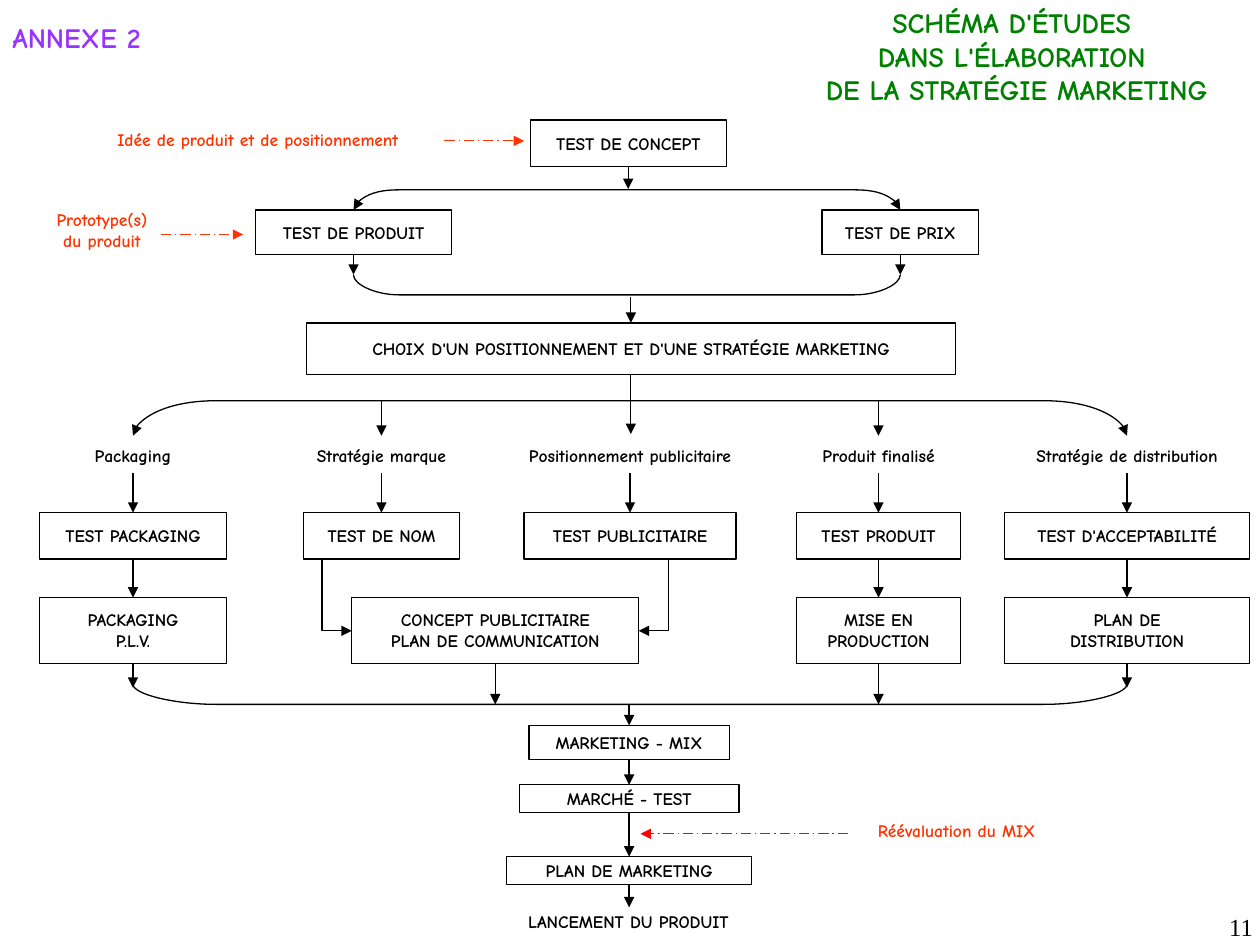
from dataclasses import dataclass
from typing import Any

from lxml import etree
from pptx import Presentation
from pptx.dml import color as dml
from pptx.enum import dml as line_styles, shapes, text
from pptx.oxml import ns
from pptx.util import Pt

BLACK, WHITE, ORANGE, RED = "000000", "FFFFFF", "FF3300", "FF0000"
GREEN, PURPLE = "008000", "9933FF"
FONT = "Comic Neue"
LEFT, CENTER, RIGHT = text.PP_ALIGN.LEFT, text.PP_ALIGN.CENTER, text.PP_ALIGN.RIGHT
TOP, MIDDLE = text.MSO_ANCHOR.TOP, text.MSO_ANCHOR.MIDDLE
TOP_SIDE, BOTTOM_SIDE = 0, 2


def rgb(value):
    """Turn a hex string into a colour."""
    return dml.RGBColor.from_string(value)


def style_line(shape, color=BLACK, ends=(), dashed=False):
    """Set a thin line with optional arrowheads and dashes."""
    shape.line.color.rgb = rgb(color)
    shape.line.width = Pt(0.75)
    if dashed:
        shape.line.dash_style = line_styles.MSO_LINE.LONG_DASH_DOT
    properties = shape.line._get_or_add_ln()
    for end in ends:
        etree.SubElement(properties, ns.qn(f"a:{end}"), type="triangle")


def write(shape, content, color=BLACK, size=10, align=CENTER, anchor=MIDDLE,
          font=FONT, bold=True, wrap=True):
    """Write paragraphs split at newlines, with line breaks at vertical tabs."""
    frame = shape.text_frame
    frame.word_wrap = wrap
    frame.vertical_anchor = anchor
    for index, line in enumerate(content.split("\n")):
        paragraph = frame.paragraphs[0] if index == 0 else frame.add_paragraph()
        paragraph.alignment = align
        for position, part in enumerate(line.split("\v")):
            if position:
                paragraph.add_line_break()
            run = paragraph.add_run()
            run.text = part
            run.font.name = font
            run.font.size = Pt(size)
            run.font.bold = bold
            run.font.color.rgb = rgb(color)


@dataclass
class Region:
    """Draw parts relative to the top left corner of a box."""

    slide: Any
    left: float
    top: float

    def point(self, x, y):
        """Place a relative point on the slide."""
        return Pt(self.left + x), Pt(self.top + y)

    def label(self, x, y, width, height, content, **style):
        """Add a plain text box."""
        shape = self.slide.shapes.add_textbox(*self.point(x, y), Pt(width), Pt(height))
        write(shape, content, **style)

    def box(self, center, y, width, height, content, outlined=True, **style):
        """Add a white rectangle centred on a horizontal position."""
        shape = self.slide.shapes.add_shape(
            shapes.MSO_SHAPE.RECTANGLE, *self.point(center - width / 2, y), Pt(width), Pt(height))
        shape.shadow.inherit = False
        shape.fill.solid()
        shape.fill.fore_color.rgb = rgb(WHITE)
        if outlined:
            style_line(shape)
        else:
            shape.line.fill.background()
        write(shape, content, **style)
        return shape

    def arrow(self, start, end, source=None, target=None, color=BLACK, dashed=False):
        """Add an arrow, joined to a source bottom or a target top when given."""
        connector = self.slide.shapes.add_connector(
            shapes.MSO_CONNECTOR.STRAIGHT, *self.point(*start), *self.point(*end))
        if source is not None:
            connector.begin_connect(source, BOTTOM_SIDE)
        if target is not None:
            connector.end_connect(target, TOP_SIDE)
        style_line(connector, color, ["tailEnd"], dashed)
        etree.SubElement(connector._element.spPr, ns.qn("a:effectLst"))

    def outline(self, points, ends=()):
        """Add an open unfilled path through the points."""
        start, *others = [self.point(*point) for point in points]
        builder = self.slide.shapes.build_freeform(*start)
        builder.add_line_segments(others, close=False)
        shape = builder.convert_to_shape()
        shape.shadow.inherit = False
        shape.fill.background()
        style_line(shape, ends=ends)
        return shape

    def bracket(self, left, right, tip, bar, bend, ends=()):
        """Add a horizontal bar whose two ends curve to the tips."""
        middle = (tip + bar) / 2
        shape = self.outline([
            (left, tip), (left, middle), (left + bend / 2, bar), (left + bend, bar),
            (right - bend, bar), (right - bend / 2, bar), (right, middle), (right, tip)], ends)
        segments = list(shape._element.iter(ns.qn("a:lnTo")))
        for group in (segments[:3], segments[4:]):
            curve = etree.Element(ns.qn("a:cubicBezTo"))
            group[0].addprevious(curve)
            for segment in group:
                curve.append(segment[0])
                segment.getparent().remove(segment)


def draw_header(region):
    """Draw the annex mark and the title."""
    region.label(0, 0, 153.5, 43, "ANNEXE 2", color=PURPLE, size=16, align=LEFT)
    region.label(445, 1.5, 272, 61,
                 "SCHÉMA D'ÉTUDES \vDANS L'ÉLABORATION \vDE LA STRATÉGIE MARKETING",
                 color=GREEN, size=16)


def draw_early_tests(region):
    """Draw the tests that lead to the strategy choice and return its box."""
    middle, product_x, price_x = 341, 184, 496.5
    concept = region.box(middle, 0.5, 112, 26.5, "TEST DE CONCEPT")
    product = region.box(product_x, 52, 112, 25.5, "TEST DE PRODUIT")
    price = region.box(price_x, 52, 89.5, 25.5, "TEST DE PRIX")
    choice = region.box(342.5, 116.5, 371, 29.5,
                        "CHOIX D'UN POSITIONNEMENT ET D'UNE STRATÉGIE MARKETING")
    region.arrow((middle, 27), (middle, 40), source=concept)
    region.bracket(product_x, price_x, 52, 40.5, 26, ["headEnd", "tailEnd"])
    region.bracket(product_x, price_x, 89, 100.5, 26)
    for center, box in ((product_x, product), (price_x, price)):
        region.arrow((center, 77.5), (center, 89), source=box)
    region.arrow((342.5, 102), (342.5, 116.5), target=choice)

    region.label(42, 2, 215, 19.5, "Idée de produit et de positionnement",
                 color=ORANGE, align=LEFT, anchor=TOP)
    region.arrow((236, 12.5), (281.5, 12.5), color=ORANGE, dashed=True)
    region.label(0, 48, 80.5, 31.5, "Prototype(s)\vdu produit", color=ORANGE, anchor=TOP)
    region.arrow((74, 66), (121, 66), color=ORANGE, dashed=True)
    return choice


def draw_mix_columns(region, choice):
    """Draw the five parallel studies and the line that gathers them."""
    columns = [
        ("Packaging", 58, "TEST PACKAGING", 106.5, "PACKAGING\nP.L.V."),
        ("Stratégie marque", 88.5, "TEST DE NOM", 89.5, None),
        ("Positionnement publicitaire", 130, "TEST PUBLICITAIRE", 121, None),
        ("Produit finalisé", 78.5, "TEST PRODUIT", 93.5, "MISE EN PRODUCTION"),
        ("Stratégie de distribution", 118, "TEST D'ACCEPTABILITÉ", 140, "PLAN DE\nDISTRIBUTION"),
    ]
    centers = [53 + 142 * index for index in range(len(columns))]
    first, last = centers[0], centers[-1]
    bar, tip, gather = 15, 35, 188.5
    region.bracket(first, last, tip, bar, 47.5, ["headEnd", "tailEnd"])
    region.arrow((337.5, 0), (337.5, tip - 1), source=choice)
    for center in (centers[1], centers[3]):
        region.arrow((center, bar), (center, tip))

    for center, (subject, subject_width, test, width, result) in zip(centers, columns):
        heading = region.box(center, 37, subject_width, 19.5, subject,
                             outlined=False, anchor=TOP, wrap=False)
        study = region.box(center, 79, width, 26.5, test)
        region.arrow((center, 56.5), (center, 79), heading, study)
        if result:
            output = region.box(center, 127.5, width, 37.5, result)
            region.arrow((center, 105.5), (center, 127.5), study, output)
            end = tip + 144 if center in (first, last) else gather
            region.arrow((center, 165), (center, end), source=output)

    middle, width = 260, 164
    plan = region.box(middle, 127.5, width, 37.5, "CONCEPT PUBLICITAIRE\nPLAN DE COMMUNICATION")
    region.arrow((middle, 165), (middle, gather), source=plan)
    for side in (-1, 1):
        edge = middle + side * width / 2
        elbow = edge + side * 17
        region.outline([(elbow, 105.5), (elbow, 146.5), (edge, 146.5)], ["tailEnd"])
    region.bracket(first, last, 177, gather, 47.5)


def draw_launch(region):
    """Draw the chain from the marketing mix to the launch."""
    center = 79.5
    mix = region.box(center, 12, 114.5, 19.5, "MARKETING - MIX", anchor=TOP)
    market = region.box(center, 46, 125.5, 16, "MARCHÉ - TEST")
    plan = region.box(center, 87, 140, 16, "PLAN DE MARKETING")
    region.label(0, 116, 158, 16, "LANCEMENT DU PRODUIT")
    region.arrow((center, 0), (center, 12), target=mix)
    region.arrow((center, 31.5), (center, 46), mix, market)
    region.arrow((center, 62), (center, 87), market, plan)
    region.arrow((center, 103), (center, 116), source=plan)
    region.label(214.5, 62.5, 126, 19.5, "Réévaluation du MIX", color=ORANGE, align=LEFT, anchor=TOP)
    region.arrow((204.5, 74), (86, 74), color=RED, dashed=True)


def main():
    """Build and save the slide."""
    presentation = Presentation()
    presentation.slide_width, presentation.slide_height = Pt(720), Pt(540)
    slide = presentation.slides.add_slide(presentation.slide_layouts[6])
    draw_header(Region(slide, 0, 0))
    choice = draw_early_tests(Region(slide, 18, 68))
    draw_mix_columns(Region(slide, 23, 214), choice)
    draw_launch(Region(slide, 280, 402.5))
    Region(slide, 573, 517.5).label(0, 0, 150, 22, "11", size=14, align=RIGHT, anchor=TOP,
                                    font="Times New Roman", bold=False)
    presentation.save("out.pptx")


if __name__ == "__main__":
    main()
